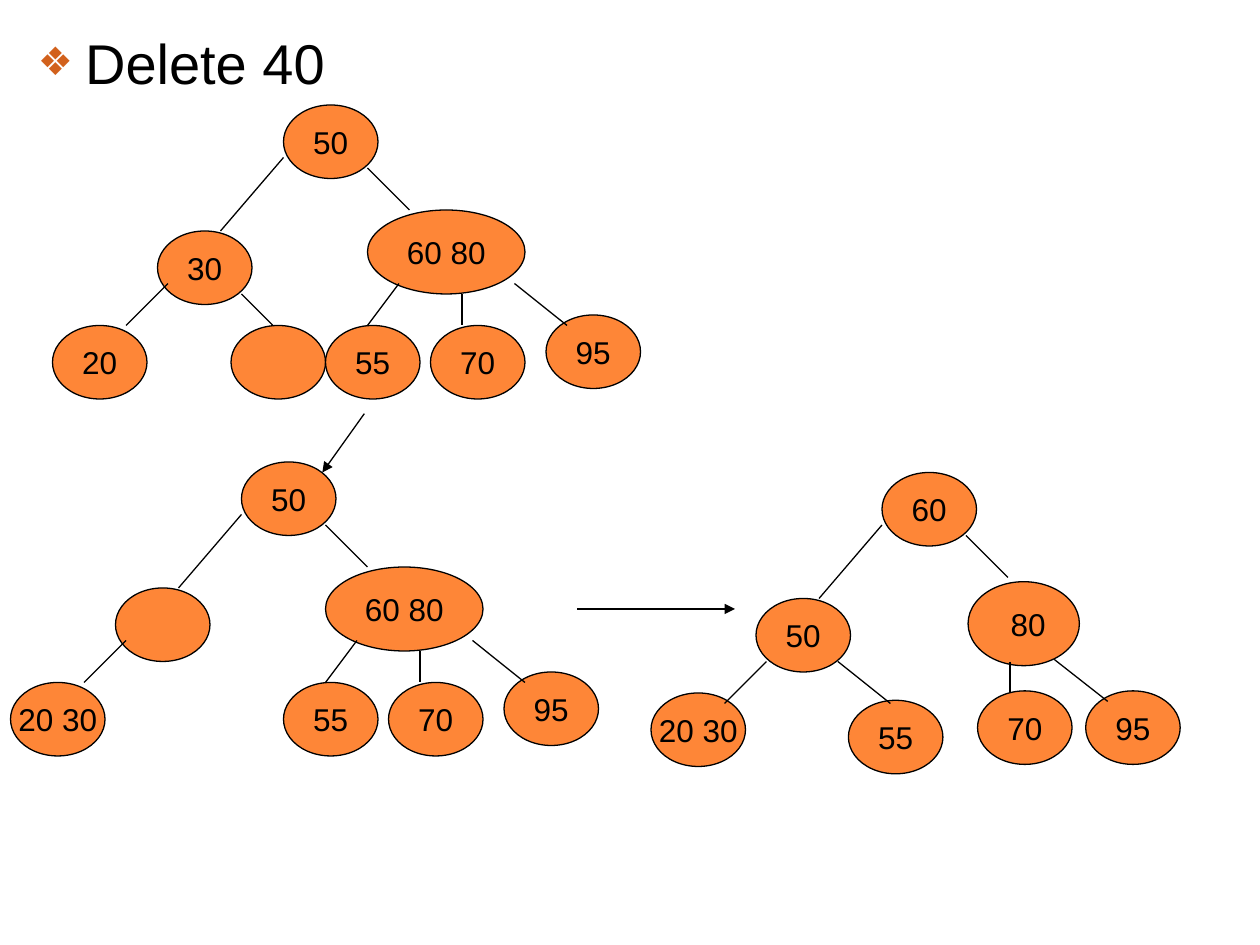
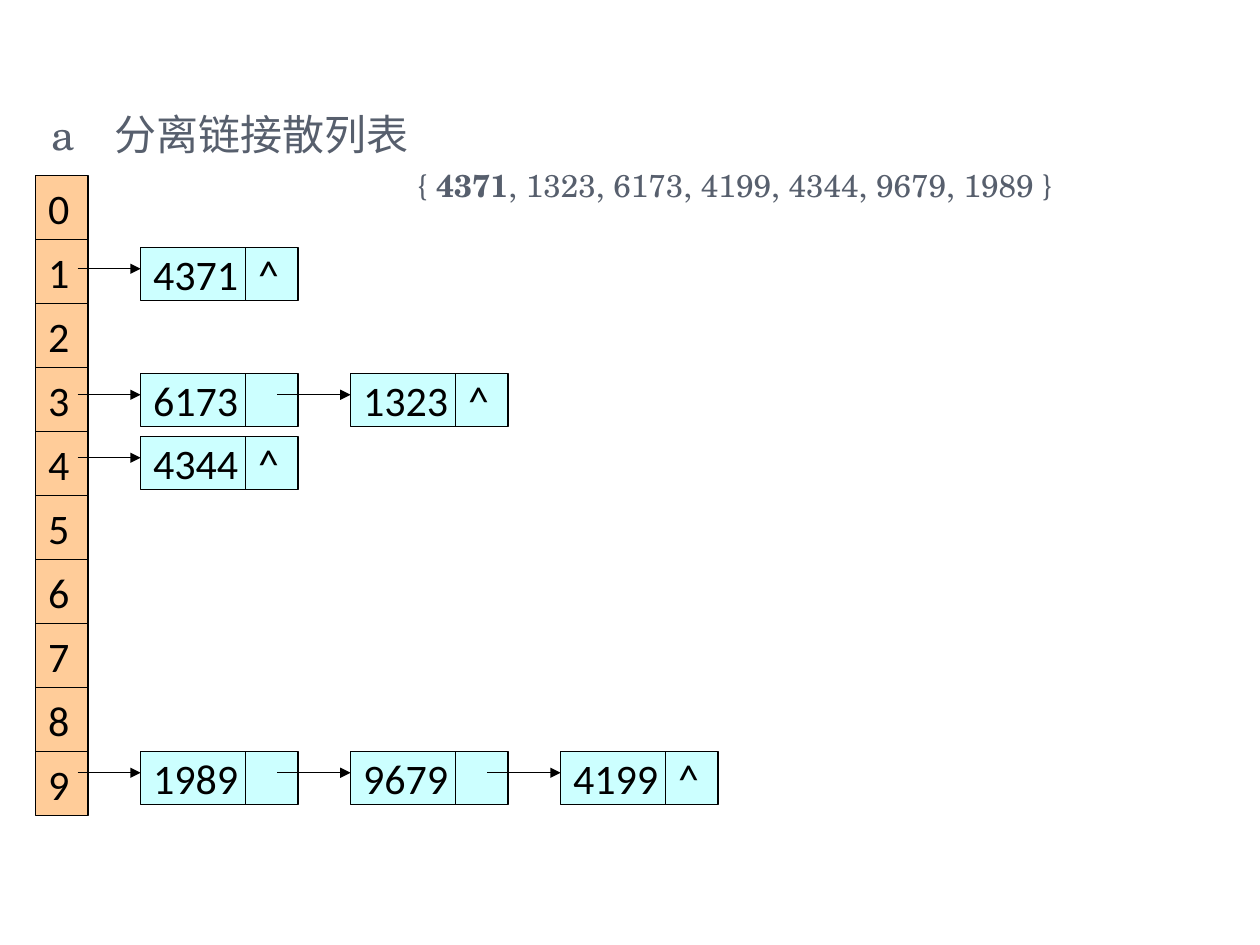
"""Build two slides: deleting from a 2-3 tree and a separate chaining hash table."""
from lxml import etree
from pptx import Presentation
from pptx import util as u
from pptx.dml.color import RGBColor
from pptx.enum import shapes, text
from pptx.oxml import ns

PX = 7620
BLACK, ORANGE, PEACH, CYAN = "000000", "FE8637", "FFCC99", "CCFFFF"
SLATE, RUST = "575F6D", "D2611C"
NODE_LABEL = {"name": "Arial", "size": u.Pt(18)}
CELL_LABEL = {"name": "Calibri", "size": u.Pt(24)}
HEADING = {"name": "Arial", "size": u.Pt(32)}
CHAPTER = {"name": "TeX Gyre Schola", "size": u.Pt(24)}
KEYS = {**CHAPTER, "size": u.Pt(18)}


def px(length):
    return u.Emu(length * PX)


def color(value):
    return RGBColor.from_string(value)


def apply(target, values):
    for name, value in values.items():
        setattr(target, name, value)


def add_xml(parent, tag, **attributes):
    element = etree.SubElement(parent, ns.qn(tag))
    for name, value in attributes.items():
        element.set(name, str(value))
    return element


class Deck:
    def __init__(self):
        self.presentation = Presentation()
        apply(self.presentation, {"slide_width": px(1200), "slide_height": px(900)})
        self.slide = None

    def new_slide(self):
        layout = self.presentation.slide_layouts[1]
        self.slide = self.presentation.slides.add_slide(layout)
        title = self.slide.shapes.title
        title.element.getparent().remove(title.element)

    def body(self, left, top, width, height):
        shape = self.slide.placeholders[1]
        apply(shape, {"left": px(left), "top": px(top),
                      "width": px(width), "height": px(height)})
        apply(shape.text_frame, {"word_wrap": True, "margin_top": px(11),
                                 "auto_size": text.MSO_AUTO_SIZE.NONE})
        return shape.text_frame

    def body_line(self, paragraph, runs, style, ink, space=0, left=0, indent=0,
                  bullet=None, tab=None):
        paragraph.space_before = u.Pt(space)
        properties = paragraph._p.get_or_add_pPr()
        properties.set("marL", str(px(left)))
        properties.set("indent", str(px(indent)))
        if bullet:
            bullet_color = add_xml(properties, "a:buClr")
            add_xml(bullet_color, "a:srgbClr", val=RUST)
            add_xml(properties, "a:buSzPct", val=70000)
            add_xml(properties, "a:buFont", typeface="Arial")
            add_xml(properties, "a:buChar", char=bullet)
        else:
            add_xml(properties, "a:buNone")
        if tab:
            stops = add_xml(properties, "a:tabLst")
            add_xml(stops, "a:tab", pos=px(tab), algn="l")
        for words, bold in runs:
            run = paragraph.add_run()
            run.text = words
            apply(run.font, {**style, "bold": bold})
            run.font.color.rgb = color(ink)

    def box(self, kind, label, left, top, width, height, fill, style, align):
        shape = self.slide.shapes.add_shape(
            kind, px(left), px(top), px(width), px(height))
        shape.shadow.inherit = False
        shape.fill.solid()
        shape.fill.fore_color.rgb = color(fill)
        shape.line.color.rgb = color(BLACK)
        shape.line.width = u.Pt(0.75)
        if label:
            frame = shape.text_frame
            apply(frame, {"text": label, "word_wrap": False,
                          "vertical_anchor": text.MSO_ANCHOR.MIDDLE})
            paragraph = frame.paragraphs[0]
            paragraph.alignment = align
            apply(paragraph.runs[0].font, style)
            paragraph.runs[0].font.color.rgb = color(BLACK)

    def node(self, label, left, top, width=90, height=70):
        self.box(shapes.MSO_SHAPE.OVAL, label, left, top, width, height,
                 ORANGE, NODE_LABEL, text.PP_ALIGN.CENTER)

    def cell(self, label, left, top, width, height, fill):
        self.box(shapes.MSO_SHAPE.RECTANGLE, label, left, top, width, height,
                 fill, CELL_LABEL, text.PP_ALIGN.LEFT)

    def line(self, x1, y1, x2, y2, arrow=False):
        connector = self.slide.shapes.add_connector(
            shapes.MSO_CONNECTOR.STRAIGHT, px(x1), px(y1), px(x2), px(y2))
        connector.line.color.rgb = color(BLACK)
        connector.line.width = u.Pt(0.75)
        if arrow:
            add_xml(connector.line._get_or_add_ln(), "a:tailEnd", type="triangle")
        add_xml(connector._element.spPr, "a:effectLst")

    def tree(self, nodes, edges, dx=0, dy=0):
        for label, left, top, *size in nodes:
            self.node(label, left + dx, top + dy, *size)
        for x1, y1, x2, y2 in edges:
            self.line(x1 + dx, y1 + dy, x2 + dx, y2 + dy)

    def chain(self, keys, top):
        first, step = 134, 200
        for index, key in enumerate(keys):
            left = first + index * step
            last = index == len(keys) - 1
            self.cell(key, left, top, 100, 50, CYAN)
            self.cell("^" if last else "", left + 100, top, 50, 50, CYAN)
        for index in range(len(keys)):
            left = first + index * step
            self.line(left - (70 if index else 60), top + 20, left, top + 20, True)


def build_tree_slide(deck):
    deck.new_slide()
    frame = deck.body(24, 16, 1080, 830)
    deck.body_line(frame.paragraphs[0], [("Delete 40", False)], HEADING, BLACK,
                   left=45, indent=-45, bullet="❖")
    top_edges = [(270, 150, 210, 220), (350, 160, 390, 200)]
    right_nodes = [("60 80", 350, 200, 150, 80), ("55", 310, 310),
                   ("70", 410, 310), ("95", 520, 300)]
    shared_edges = top_edges + [(120, 310, 160, 270), (380, 270, 350, 310),
                                (440, 280, 440, 310), (490, 270, 540, 310)]
    deck.tree([("50", 270, 100), ("30", 150, 220), ("20", 50, 310),
               ("", 220, 310)] + right_nodes,
              shared_edges + [(230, 280, 260, 310)])
    deck.tree([("50", 270, 100), ("", 150, 220), ("20 30", 50, 310)] + right_nodes,
              shared_edges, -40, 340)
    deck.tree([("60", 270, 100), ("50", 150, 220), ("20 30", 50, 310),
               ("55", 238, 317), (" 80", 352, 204, 106, 80),
               ("70", 361, 308), ("95", 464, 308)],
              top_edges + [(120, 320, 160, 280), (228, 280, 278, 320),
                           (392, 280, 392, 310), (434, 278, 485, 318)], 570, 350)
    deck.line(347, 394, 307, 450, True)
    deck.line(550, 580, 700, 580, True)


def build_hash_slide(deck):
    deck.new_slide()
    frame = deck.body(37, 92, 1140, 594)
    deck.body_line(frame.paragraphs[0], [("a\t分离链接散列表", False)],
                   CHAPTER, SLATE, tab=55)
    deck.body_line(frame.add_paragraph(),
                   [("{ ", False), ("4371", True),
                    (", 1323, 6173, 4199, 4344, 9679, 1989 }", False)],
                   KEYS, SLATE, space=4, left=348)
    for bucket in range(10):
        deck.cell(str(bucket), 34, 167 + bucket * 61, 50, 61, PEACH)
    chains = {236: ["4371"], 356: ["6173", "1323"], 416: ["4344"],
              716: ["1989", "9679", "4199"]}
    for top, keys in chains.items():
        deck.chain(keys, top)


def main():
    deck = Deck()
    build_tree_slide(deck)
    build_hash_slide(deck)
    deck.presentation.save("out.pptx")


if __name__ == "__main__":
    main()
